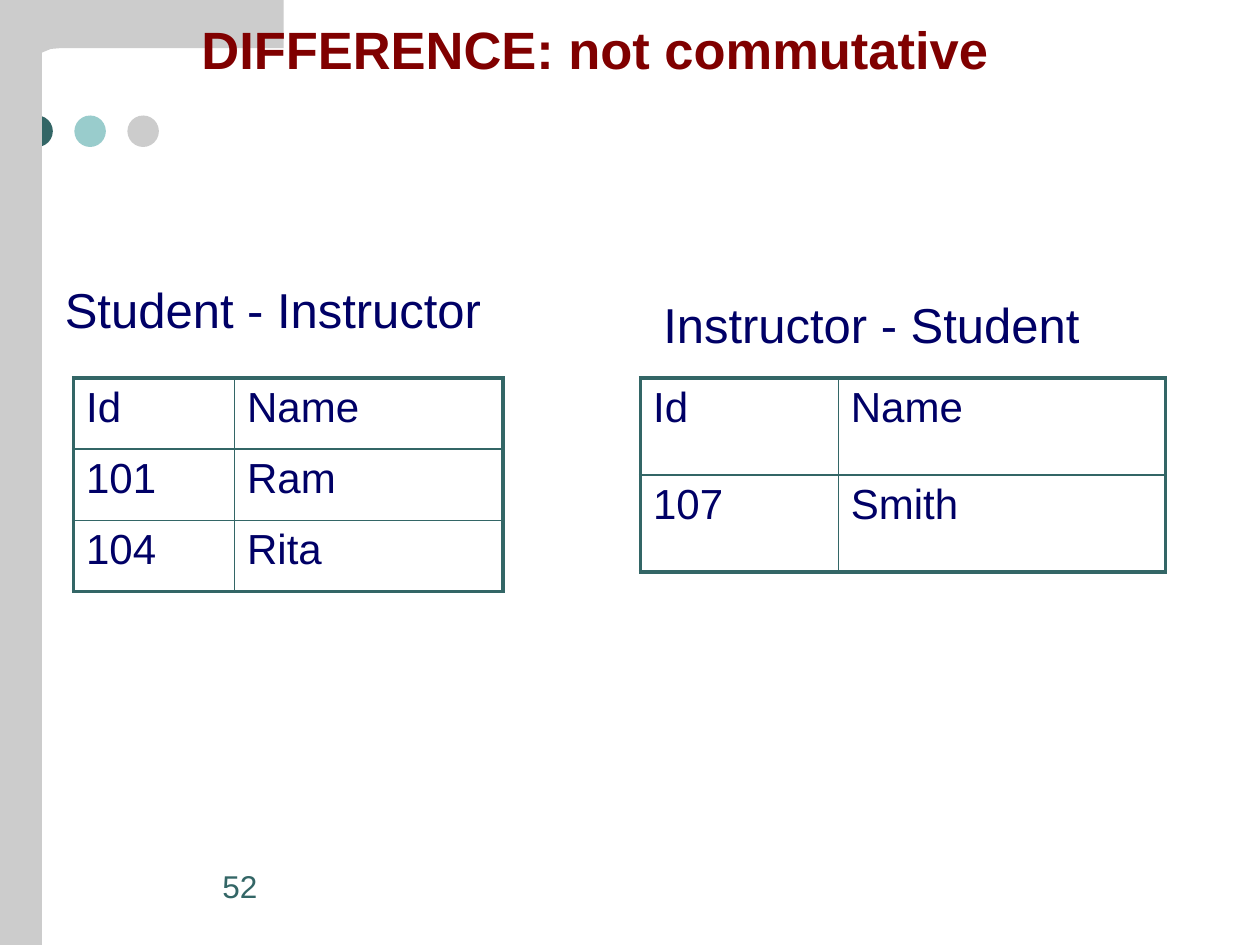
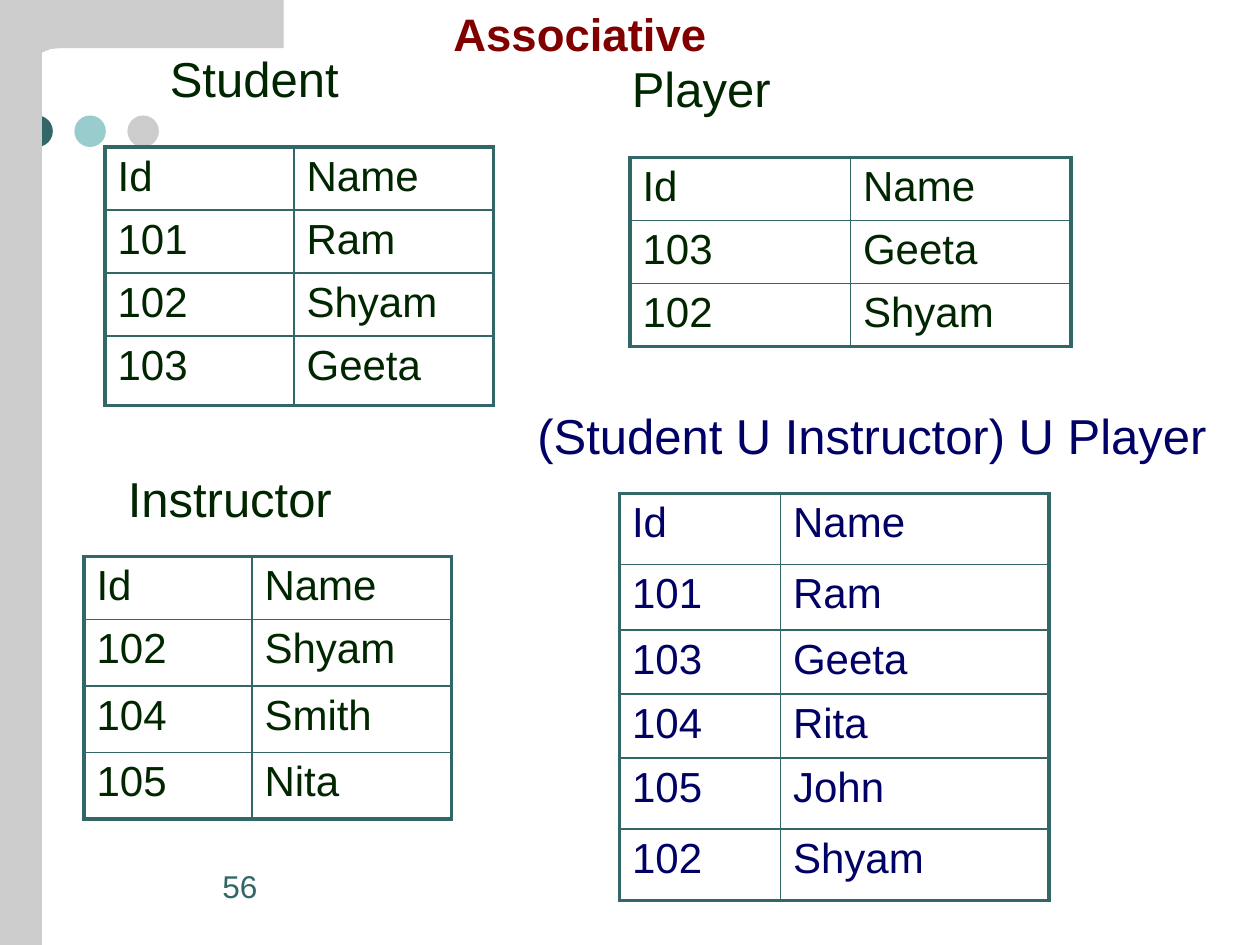
from dataclasses import dataclass

import pptx
import pptx.util
import pptx.dml.color
import pptx.enum.shapes
import pptx.oxml.ns
import lxml.etree

Pt = pptx.util.Pt


@dataclass(frozen=True)
class Theme:
    font: str = "Arial"
    teal: str = "336666"
    aqua: str = "99CCCC"
    grey: str = "CCCCCC"
    maroon: str = "800000"
    navy: str = "000066"
    green: str = "002600"
    title_size: float = 30
    small_title_size: float = 26
    heading_size: float = 28
    cell_size: float = 24
    number_size: float = 18
    frame_width: float = 2.25
    grid_width: float = 1


THEME = Theme()
PAGE_WIDTH, PAGE_HEIGHT = 720, 540
HEADING_HEIGHT = 41


def colour(value):
    return pptx.dml.color.RGBColor.from_string(value)


def style_text(frame, size, text_colour, bold=False):
    for para in frame.paragraphs:
        for span in para.runs:
            span.font.name = THEME.font
            span.font.size = Pt(size)
            span.font.bold = bold
            span.font.color.rgb = colour(text_colour)


def add_text(page, box, text, size, text_colour, bold=False):
    label = page.shapes.add_textbox(*map(Pt, box))
    label.text_frame.word_wrap = True
    label.text_frame.text = text
    style_text(label.text_frame, size, text_colour, bold)


def paint(shape, fill):
    shape.shadow.inherit = False
    shape.fill.solid()
    shape.fill.fore_color.rgb = colour(fill)
    shape.line.fill.background()


def add_block(page, kind, box, fill):
    paint(page.shapes.add_shape(kind, *map(Pt, box)), fill)


def add_corner(page, box):
    left, top, width, height = box
    band = 27.5
    outline = [(width, 0), (width, band), (35, band), (29, 28), (23, 30.5),
               (19.5, 34), (18, 38), (18, height), (0, height), (0, 0)]
    points = [(Pt(left + x), Pt(top + y)) for x, y in outline]
    builder = page.shapes.build_freeform(*points[0], scale=1.0)
    builder.add_line_segments(points[1:], close=True)
    paint(builder.convert_to_shape(), THEME.grey)


def add_backdrop(page, number):
    shapes = pptx.enum.shapes.MSO_SHAPE
    for index, fill in enumerate((THEME.teal, THEME.aqua, THEME.grey)):
        add_block(page, shapes.OVAL, (12.2 + 30.3 * index, 66, 18, 18), fill)
    add_block(page, shapes.RECTANGLE, (0, 0, 24, PAGE_HEIGHT), THEME.grey)
    add_corner(page, (0, 0, 162, 42))
    add_text(page, (120, 492, 102, 36), number, THEME.number_size, THEME.teal)


def add_border(cell, side, width):
    properties = cell._tc.get_or_add_tcPr()
    tag = pptx.oxml.ns.qn
    line = lxml.etree.SubElement(properties, tag(f"a:ln{side}"), w=str(Pt(width)))
    fill = lxml.etree.SubElement(line, tag("a:solidFill"))
    lxml.etree.SubElement(fill, tag("a:srgbClr"), val=THEME.teal)


def add_relation(page, origin, columns, heights, records, text_colour):
    rows = [("Id", "Name"), *records]
    box = (*origin, sum(columns), sum(heights))
    table = page.shapes.add_table(len(rows), len(columns), *map(Pt, box)).table
    table.first_row = table.horz_banding = False
    for column, width in zip(table.columns, columns):
        column.width = Pt(width)
    for row, height in zip(table.rows, heights):
        row.height = Pt(height)
    for r, record in enumerate(rows):
        for c, value in enumerate(record):
            cell = table.cell(r, c)
            cell.text_frame.text = value
            style_text(cell.text_frame, THEME.cell_size, text_colour)
            outer = {"L": c == 0, "R": c == len(columns) - 1,
                     "T": r == 0, "B": r == len(rows) - 1}
            for side, framed in outer.items():
                add_border(cell, side, THEME.frame_width if framed else THEME.grid_width)
            cell.fill.background()


def add_heading(page, origin, width, text, text_colour):
    add_text(page, (*origin, width, HEADING_HEIGHT), text, THEME.heading_size, text_colour)


def build_difference(page):
    add_backdrop(page, "52")
    add_heading(page, (30, 156), 270, "Student - Instructor", THEME.navy)
    add_heading(page, (372, 165), 294, "Instructor - Student", THEME.navy)
    add_relation(page, (42, 216), (92, 153.5), [40.7] * 3,
                 [("101", "Ram"), ("104", "Rita")], THEME.navy)
    add_relation(page, (366, 216), (113, 187), [55.5] * 2,
                 [("107", "Smith")], THEME.navy)
    add_text(page, (108, 6, 492, 43), "DIFFERENCE: not commutative",
             THEME.title_size, THEME.maroon, bold=True)


def build_associative(page):
    add_backdrop(page, "56")
    add_relation(page, (354, 282), (92, 153.5), (40.5, 37.5, 36.6, 36.6, 40.7, 40.7),
                 [("101", "Ram"), ("103", "Geeta"), ("104", "Rita"),
                  ("105", "John"), ("102", "Shyam")], THEME.navy)
    add_relation(page, (48, 318), (96, 114), (36, 38, 38, 38),
                 [("102", "Shyam"), ("104", "Smith"), ("105", "Nita")], THEME.green)
    add_relation(page, (60, 84), (108, 114), (36, 36, 36, 39.6),
                 [("101", "Ram"), ("102", "Shyam"), ("103", "Geeta")], THEME.green)
    add_relation(page, (360, 90), (126, 126), [36] * 3,
                 [("103", "Geeta"), ("102", "Shyam")], THEME.green)
    add_heading(page, (90, 24), 190, "Student", THEME.green)
    add_heading(page, (66, 264), 190, "Instructor", THEME.green)
    add_heading(page, (300, 228), 420, "(Student U Instructor) U Player", THEME.navy)
    add_heading(page, (354, 30), 190, "Player", THEME.green)
    add_text(page, (252, 0, 180, 38), "Associative",
             THEME.small_title_size, THEME.maroon, bold=True)


def main():
    deck = pptx.Presentation()
    deck.slide_width, deck.slide_height = Pt(PAGE_WIDTH), Pt(PAGE_HEIGHT)
    for build in (build_difference, build_associative):
        build(deck.slides.add_slide(deck.slide_layouts[6]))
    deck.save("out.pptx")


if __name__ == "__main__":
    main()
